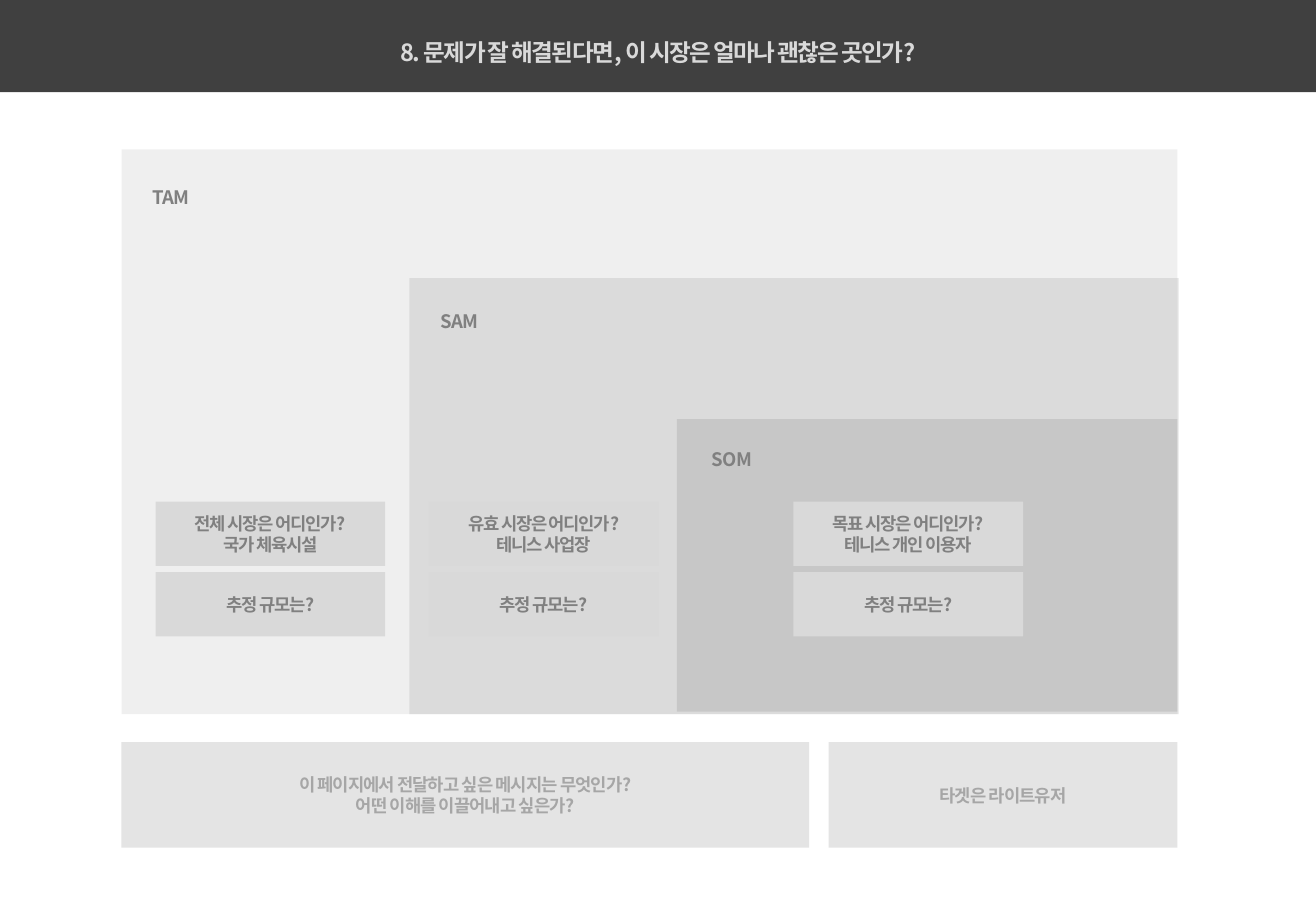
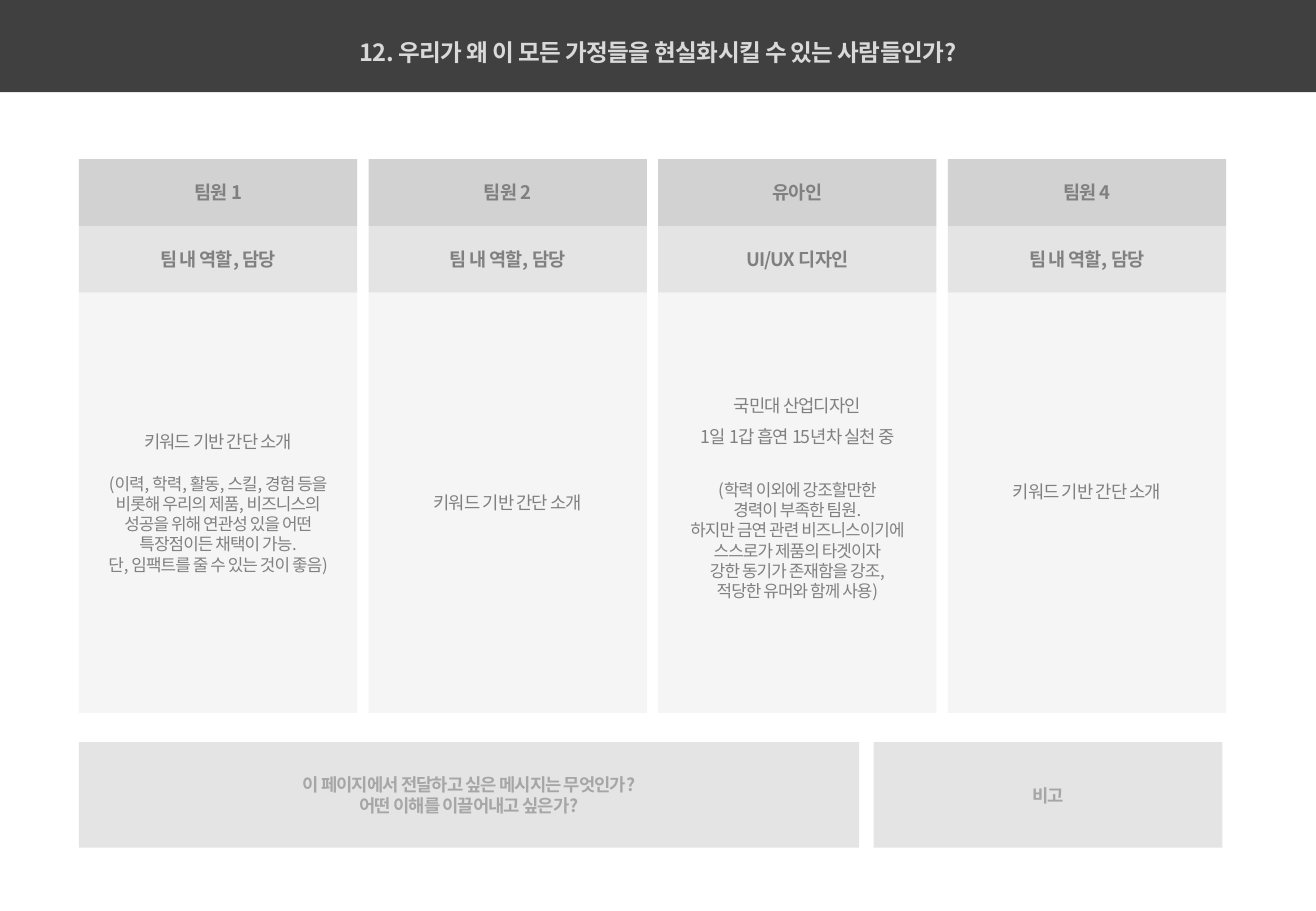
from dataclasses import dataclass

from lxml import etree
from pptx import Presentation
from pptx.dml.color import RGBColor
from pptx.enum.shapes import MSO_SHAPE
from pptx.enum.text import MSO_ANCHOR, MSO_AUTO_SIZE, PP_ALIGN
from pptx.oxml.ns import qn
from pptx.util import Inches, Pt

RECTANGLE = MSO_SHAPE.RECTANGLE
TOP, MIDDLE = MSO_ANCHOR.TOP, MSO_ANCHOR.MIDDLE
LEFT, CENTER = PP_ALIGN.LEFT, PP_ALIGN.CENTER
FIXED_SIZE = MSO_AUTO_SIZE.NONE

SLIDE_WIDTH, SLIDE_HEIGHT = 10.83, 7.5
TITLE_ONLY = 5
PADDING = (0.1, 0.05, 0.1, 0.05)
NO_PADDING = (0, 0, 0, 0)
MESSAGE = "이 페이지에서 전달하고 싶은 메시지는 무엇인가?\n어떤 이해를 이끌어내고 싶은가?"


@dataclass(frozen=True)
class Theme:
    """Font, colours and type sizes of the deck."""

    font: str = "Noto Sans CJK KR"
    band: str = "404040"
    title: str = "D9D9D9"
    text: str = "808080"
    muted: str = "A6A6A6"
    pale: str = "F2F2F2"
    light: str = "D9D9D9"
    medium: str = "BFBFBF"
    strong: str = "A6A6A6"
    title_size: float = 14
    heading_size: float = 11
    body_size: float = 10.5
    detail_size: float = 10


THEME = Theme()


@dataclass(frozen=True)
class Area:
    """A rectangle in inches."""

    left: float
    top: float
    width: float
    height: float

    def lengths(self) -> tuple:
        """Return the four measures as lengths."""
        return tuple(Inches(value) for value in (self.left, self.top, self.width, self.height))


@dataclass(frozen=True)
class Market:
    """One nested market zone with its label and cards."""

    name: str
    area: Area
    fill: str
    opacity: int
    label_left: float
    label_top: float
    card_left: float
    question: str


@dataclass(frozen=True)
class Passage:
    """Lines of a profile that share one format."""

    text: str
    size: float = THEME.body_size
    line_spacing: float = 1.0
    space_after: float = 0


@dataclass(frozen=True)
class Member:
    """One team member column."""

    name: str
    role: str
    profile: tuple[Passage, ...]
    bottom_inset: float = 0


INTRODUCTION = "키워드 기반 간단 소개"
MARKETS = (
    Market("TAM", Area(1, 1.23, 8.69, 4.65), THEME.light, 40, 1.16, 1.39, 1.28,
           "전체 시장은 어디인가?\n국가 체육시설"),
    Market("SAM", Area(3.37, 2.29, 6.33, 3.59), THEME.medium, 40, 3.53, 2.41, 3.53,
           "유효 시장은 어디인가?\n테니스 사업장"),
    Market("SOM", Area(5.57, 3.45, 4.12, 2.41), THEME.strong, 36, 5.76, 3.55, 6.53,
           "목표 시장은 어디인가?\n테니스 개인 이용자"),
)
MEMBERS = (
    Member("팀원 1", "팀 내 역할, 담당", (
        Passage(INTRODUCTION, space_after=12.5),
        Passage("(이력, 학력, 활동, 스킬, 경험 등을\n비롯해 우리의 제품, 비즈니스의\n"
                "성공을 위해 연관성 있을 어떤\n특장점이든 채택이 가능.\n"
                "단, 임팩트를 줄 수 있는 것이 좋음)", size=THEME.detail_size),
    )),
    Member("팀원 2", "팀 내 역할, 담당", (Passage(INTRODUCTION),)),
    Member("유아인", "UI/UX 디자인", (
        Passage("국민대 산업디자인\n1일 1갑 흡연 15년차 실천 중", line_spacing=1.5, space_after=19),
        Passage("(학력 이외에 강조할만한\n경력이 부족한 팀원.\n하지만 금연 관련 비즈니스이기에\n"
                "스스로가 제품의 타겟이자\n강한 동기가 존재함을 강조,\n적당한 유머와 함께 사용)",
                size=THEME.detail_size),
    ), 0.17),
    Member("팀원 4", "팀 내 역할, 담당", (Passage(INTRODUCTION),), 0.18),
)


def set_frame(frame, *, insets: tuple = PADDING, anchor=MIDDLE, wrap: bool = True) -> None:
    """Set the margins, anchor and wrapping of a text frame."""
    frame.auto_size = FIXED_SIZE
    frame.word_wrap = wrap
    frame.vertical_anchor = anchor
    frame.margin_left, frame.margin_top, frame.margin_right, frame.margin_bottom = (
        Inches(value) for value in insets)


def add_text(frame, text: str, *, size: float = THEME.body_size, color: str = THEME.text,
             bold: bool = True, tracking: float = -0.5, align=CENTER,
             line_spacing: float = 1.0, space_after: float = 0) -> None:
    """Add each line of text as a paragraph, with space after the last."""
    for line in text.split("\n"):
        para = frame.paragraphs[-1]
        if para.runs:
            para = frame.add_paragraph()
        para.alignment = align
        para.line_spacing = line_spacing
        span = para.add_run()
        span.text = line
        span.font.name = THEME.font
        span.font.size = Pt(size)
        span.font.bold = bold
        span.font.color.rgb = RGBColor.from_string(color)
        properties = span.font._element
        properties.set("spc", str(round(tracking * 100)))
        etree.SubElement(properties, qn("a:ea"), typeface=THEME.font)
    para.space_after = Pt(space_after)


def add_box(page, area: Area, fill: str, opacity: int = 100):
    """Draw a plain rectangle without outline or shadow."""
    box = page.shapes.add_shape(RECTANGLE, *area.lengths())
    box.shadow.inherit = False
    box.line.fill.background()
    box.fill.solid()
    box.fill.fore_color.rgb = RGBColor.from_string(fill)
    if opacity < 100:
        color = box._element.spPr.find(f".//{qn('a:srgbClr')}")
        etree.SubElement(color, qn("a:alpha"), val=str(opacity * 1000))
    return box


def add_panel(page, area: Area, fill: str, text: str, **text_format) -> None:
    """Draw a translucent panel with centred text that does not wrap."""
    panel = add_box(page, area, fill, 70)
    set_frame(panel.text_frame, insets=NO_PADDING, wrap=False)
    add_text(panel.text_frame, text, **text_format)


def add_page(deck, title: str, tracking: float):
    """Add a slide with the dark title band."""
    page = deck.slides.add_slide(deck.slide_layouts[TITLE_ONLY])
    band = add_box(page, Area(0, 0, SLIDE_WIDTH, 0.76), THEME.band)
    heading = page.shapes.title
    heading._element.addprevious(band._element)
    heading.left, heading.top, heading.width, heading.height = Area(
        0, 0.26, SLIDE_WIDTH, 0.33).lengths()
    set_frame(heading.text_frame, anchor=TOP)
    add_text(heading.text_frame, title, size=THEME.title_size, color=THEME.title,
             tracking=tracking)
    return page


def add_footer(page, left: float, message_width: float, note_left: float, note: str) -> None:
    """Draw the message panel and the note panel."""
    for start, width, text in ((left, message_width, MESSAGE), (note_left, 2.87, note)):
        add_panel(page, Area(start, 6.11, width, 0.87), THEME.light, text, color=THEME.muted)


def add_market(page, market: Market) -> None:
    """Draw a market zone, its label and its two cards."""
    add_box(page, market.area, market.fill, market.opacity)
    label = page.shapes.add_textbox(
        *Area(market.label_left, market.label_top, 1.06, 0.37).lengths())
    set_frame(label.text_frame, anchor=TOP)
    add_text(label.text_frame, market.name, size=THEME.heading_size, align=LEFT,
             line_spacing=1.5)
    for row, text in enumerate((market.question, "추정 규모는?")):
        card = add_box(page, Area(market.card_left, 4.13 + row * 0.58, 1.89, 0.53), THEME.light)
        set_frame(card.text_frame)
        add_text(card.text_frame, text, tracking=-0.7)


def add_member(page, member: Member, left: float) -> None:
    """Draw a member's name, role and profile as a column."""
    width, row_height, top = 2.29, 0.55, 1.31
    for row, (text, fill) in enumerate(((member.name, THEME.medium), (member.role, THEME.light))):
        add_panel(page, Area(left, top + row * row_height, width, row_height), fill, text,
                  size=THEME.heading_size)
    profile = add_box(page, Area(left, top + 2 * row_height, width, 3.46), THEME.pale, 70)
    set_frame(profile.text_frame, insets=(0, 0, 0, member.bottom_inset), wrap=False)
    for passage in member.profile:
        add_text(profile.text_frame, passage.text, size=passage.size, bold=False,
                 line_spacing=passage.line_spacing, space_after=passage.space_after)


def build_market_page(deck) -> None:
    """Build the market size slide."""
    page = add_page(deck, "8. 문제가 잘 해결된다면, 이 시장은 얼마나 괜찮은 곳인가?", -1)
    for market in MARKETS:
        add_market(page, market)
    add_footer(page, 1, 5.66, 6.82, "타겟은 라이트유저")


def build_team_page(deck) -> None:
    """Build the team slide."""
    page = add_page(deck, "12. 우리가 왜 이 모든 가정들을 현실화시킬 수 있는 사람들인가?", -0.4)
    first, last = 0.65, 7.8
    step = (last - first) / (len(MEMBERS) - 1)
    for index, member in enumerate(MEMBERS):
        add_member(page, member, first + index * step)
    add_footer(page, first, 6.42, 7.19, "비고")


def main() -> None:
    """Build and save the deck."""
    deck = Presentation()
    deck.slide_width, deck.slide_height = Inches(SLIDE_WIDTH), Inches(SLIDE_HEIGHT)
    build_market_page(deck)
    build_team_page(deck)
    deck.save("out.pptx")


if __name__ == "__main__":
    main()
